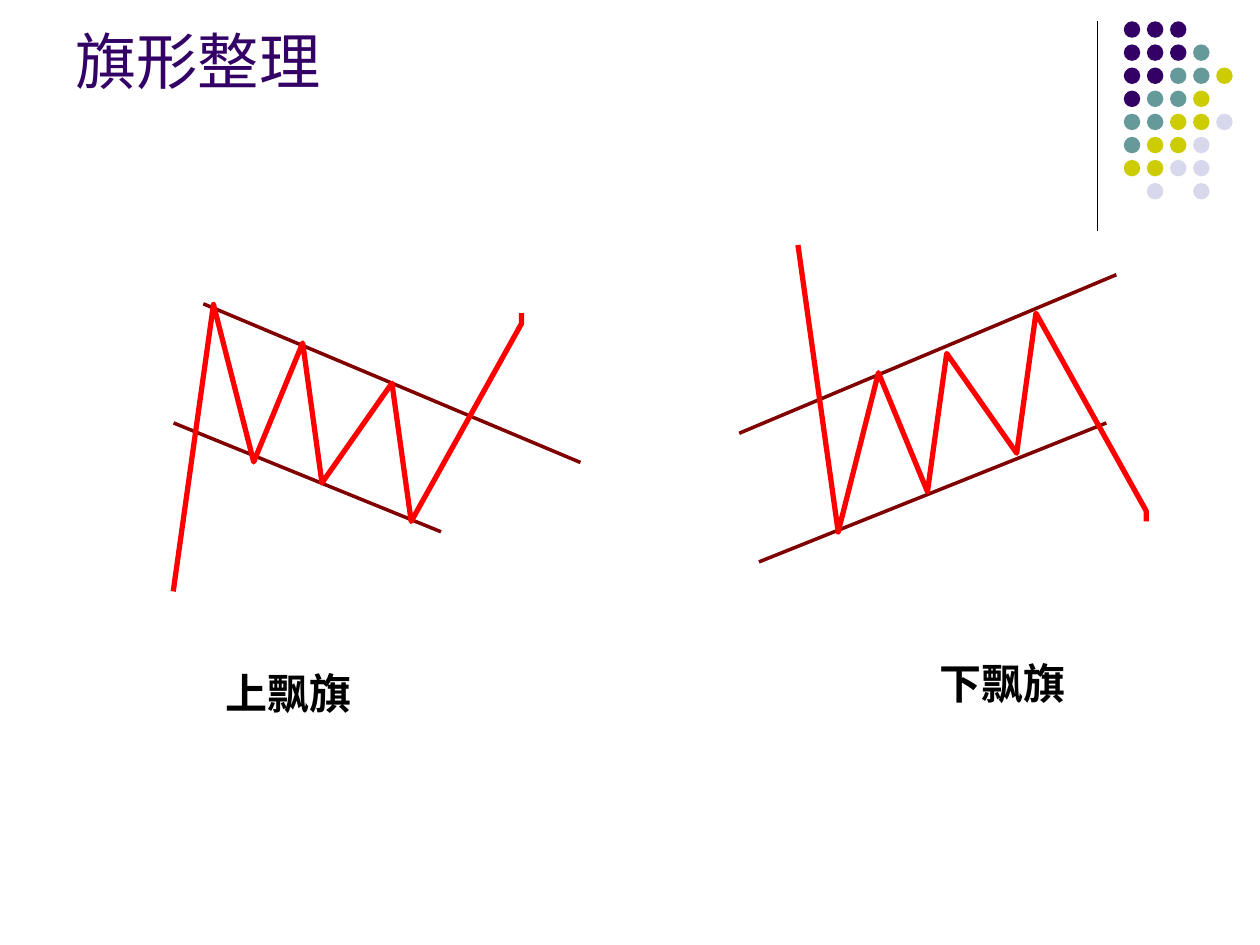
"""Builds the slide on rising and falling flag chart patterns."""
from dataclasses import dataclass

from lxml.etree import SubElement
from pptx import Presentation
from pptx.dml.color import RGBColor
from pptx.enum.shapes import MSO_CONNECTOR as CONN, MSO_SHAPE as SHAPE
from pptx.enum.text import MSO_ANCHOR as ANCHOR
from pptx.oxml.ns import qn
from pptx.util import Pt

Point = tuple[float, float]

DOT_COLORS = {"P": "330066", "T": "669999", "Y": "CCCC00", "L": "D8D8EC"}
DOT_ROWS = ["PPP", "PPPT", "PPTTY", "PTTY", "TTYYL", "TYYL", "YYLL", " L L"]
DOT_LEFT, DOT_TOP, DOT_SIZE, DOT_PITCH = 642.2, 12.2, 9.4, 13.2


@dataclass
class Label:
    text: str
    left: float
    top: float
    width: float
    height: float
    size: float
    font: str
    color: str = "000000"
    bold: bool = False
    anchor: ANCHOR = ANCHOR.TOP


@dataclass
class Flag:
    label: Label
    channel: list[tuple[Point, Point]]
    price: list[Point]


TITLE = Label("旗形整理", 36, 9.4, 594, 49.7, 35, "Arial", "330066", anchor=ANCHOR.BOTTOM)
FLAGS = [
    Flag(
        Label("上飘旗", 121.7, 378, 108, 36, 24, "DejaVu Sans", bold=True),
        [((116.2, 173.6), (331.7, 264.3)), ((99.2, 241.7), (252, 303.9))],
        [(99.2, 337.7), (121.9, 173.6), (144.6, 264.3), (172.9, 196.3), (184.3, 275.6),
         (223.9, 218.9), (235.3, 298.2), (297.6, 184.9), (297.6, 179.3)],
    ),
    Flag(
        Label("下飘旗", 530, 372.2, 108, 36, 24, "DejaVu Sans", bold=True),
        [((637.9, 157), (422.4, 247.6)), ((632.2, 241.7), (433.7, 321.1))],
        [(456.3, 139.6), (479, 303.9), (501.7, 213.2), (530, 281.2), (541.4, 202),
         (581, 258.6), (592.4, 179.3), (655, 292.4), (655, 298)],
    ),
]


def rgb(color: str) -> RGBColor:
    """Turn a hex string into a colour."""
    return RGBColor.from_string(color)


def add_line(s, start: Point, end: Point, color: str, width: float) -> None:
    """Draw a straight line without a shadow."""
    line = s.shapes.add_connector(CONN.STRAIGHT, *map(Pt, start + end))
    line.line.color.rgb = rgb(color)
    line.line.width = Pt(width)
    SubElement(line._element.spPr, qn("a:effectLst"))


def add_dot(s, left: float, top: float, color: str) -> None:
    """Draw one filled dot."""
    sp = s.shapes.add_shape(SHAPE.OVAL, Pt(left), Pt(top), Pt(DOT_SIZE), Pt(DOT_SIZE))
    sp.shadow.inherit = False
    sp.fill.solid()
    sp.fill.fore_color.rgb = rgb(color)
    sp.line.fill.background()


def add_price(s, points: list[Point]) -> None:
    """Draw the zigzag price line as an open outline."""
    builder = s.shapes.build_freeform(*points[0], scale=Pt(1))
    builder.add_line_segments(points[1:], close=False)
    sp = builder.convert_to_shape()
    sp.shadow.inherit = False
    sp.fill.background()
    sp.line.color.rgb = rgb("FF0000")
    sp.line.width = Pt(3)


def add_label(s, label: Label) -> None:
    """Add a one-line text box."""
    box = (label.left, label.top, label.width, label.height)
    tf = s.shapes.add_textbox(*map(Pt, box)).text_frame
    tf.word_wrap = True
    tf.vertical_anchor = label.anchor
    r = tf.paragraphs[0].add_run()
    r.text = label.text
    r.font.size = Pt(label.size)
    r.font.name = label.font
    r.font.bold = label.bold
    r.font.color.rgb = rgb(label.color)


def main() -> None:
    """Build and save the slide."""
    prs = Presentation()
    prs.slide_width, prs.slide_height = Pt(720), Pt(540)
    s = prs.slides.add_slide(prs.slide_layouts[6])
    add_line(s, (627, 12), (627, 132), "000000", 0.75)
    for row, codes in enumerate(DOT_ROWS):
        for col, code in enumerate(codes):
            if code in DOT_COLORS:
                left, top = DOT_LEFT + col * DOT_PITCH, DOT_TOP + row * DOT_PITCH
                add_dot(s, left, top, DOT_COLORS[code])
    add_label(s, TITLE)
    for flag in FLAGS:
        add_label(s, flag.label)
        for start, end in flag.channel:
            add_line(s, start, end, "800000", 2)
        add_price(s, flag.price)
    prs.save("out.pptx")


if __name__ == "__main__":
    main()
